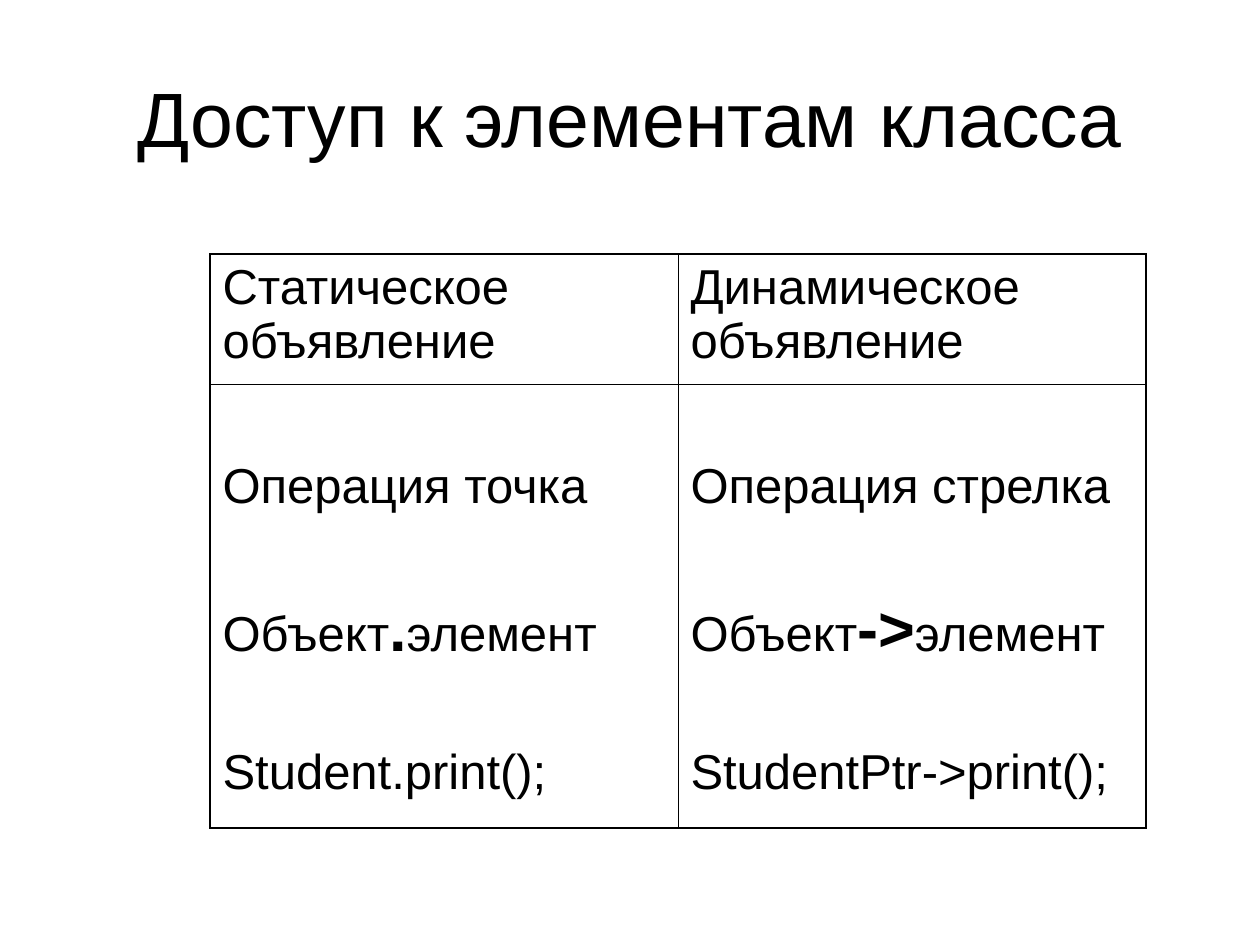
from lxml import etree
from pptx import Presentation
from pptx.dml.color import RGBColor
from pptx.enum.text import MSO_ANCHOR, PP_ALIGN
from pptx.oxml.ns import qn
from pptx.util import Emu, Pt

MIDDLE = MSO_ANCHOR.MIDDLE
CENTER = PP_ALIGN.CENTER
BLACK = RGBColor(0, 0, 0)
WHITE = RGBColor(255, 255, 255)
PX = 914400 / 126

TITLE = "Доступ к элементам класса"
# Each cell is a list of paragraphs, each paragraph a list of runs.
ROWS = [
    [[["Статическое объявление"]], [["Динамическое объявление"]]],
    [
        [["Операция точка"], ["Объект", ".", "элемент"], ["Student.print();"]],
        [["Операция стрелка"], ["Объект", "->", "элемент"],
         ["StudentPtr->print();"]],
    ],
]
SIGNS = {".", "->"}
TITLE_BOX = (63, 38, 1134, 158)
TABLE_AT = (210, 254)
COLS = [468, 468]
HEIGHTS = [130, 444]
TOPS = [6, 75]
GAP = Pt(46)
OUTER, INNER = Pt(1.08), Pt(0.45)

BASE = {"name": "Arial", "size": Pt(28), "bold": False}
SIGN = {"name": "Arial", "size": Pt(36), "bold": True}
HEAD = {"name": "Arial", "size": Pt(44), "bold": False}


def px(num):
    return Emu(round(num * PX))


def style(font, form):
    for key, val in form.items():
        setattr(font, key, val)
    font.color.rgb = BLACK


def border(cell, widths):
    """Draw the cell's sides; lines must come before the fill in tcPr."""
    props = cell._tc.get_or_add_tcPr()
    for spot, (side, width) in enumerate(widths.items()):
        line = etree.Element(qn("a:" + side), w=str(int(width)))
        fill = etree.SubElement(line, qn("a:solidFill"))
        etree.SubElement(fill, qn("a:srgbClr"), val=str(BLACK))
        props.insert(spot, line)


def write(cell, paras):
    frame = cell.text_frame
    for i, runs in enumerate(paras):
        para = frame.add_paragraph() if i else frame.paragraphs[0]
        if i:
            para.space_before = GAP
        for text in runs:
            run = para.add_run()
            run.text = text
            style(run.font, SIGN if text in SIGNS else BASE)


def add_title(slide):
    title = slide.shapes.title
    title.left, title.top, title.width, title.height = map(px, TITLE_BOX)
    frame = title.text_frame
    frame.text = TITLE
    frame.vertical_anchor = MIDDLE
    para = frame.paragraphs[0]
    para.alignment = CENTER
    style(para.runs[0].font, HEAD)


def add_grid(slide):
    size = (sum(COLS), sum(HEIGHTS))
    table = slide.shapes.add_table(
        len(ROWS), len(COLS), *map(px, TABLE_AT + size)).table
    table.first_row = table.horz_banding = False
    for col, width in zip(table.columns, COLS):
        col.width = px(width)
    for r, row in enumerate(ROWS):
        table.rows[r].height = px(HEIGHTS[r])
        for c, paras in enumerate(row):
            cell = table.cell(r, c)
            cell.margin_top = px(TOPS[r])
            cell.fill.solid()
            cell.fill.fore_color.rgb = WHITE
            write(cell, paras)
            edges = {"lnL": c == 0, "lnR": c == len(COLS) - 1,
                     "lnT": r == 0, "lnB": r == len(ROWS) - 1}
            border(cell, {side: OUTER if out else INNER
                          for side, out in edges.items()})


def main():
    deck = Presentation()
    deck.slide_width, deck.slide_height = px(1260), px(945)
    slide = deck.slides.add_slide(deck.slide_layouts[5])
    add_title(slide)
    add_grid(slide)
    deck.save("out.pptx")


if __name__ == "__main__":
    main()
